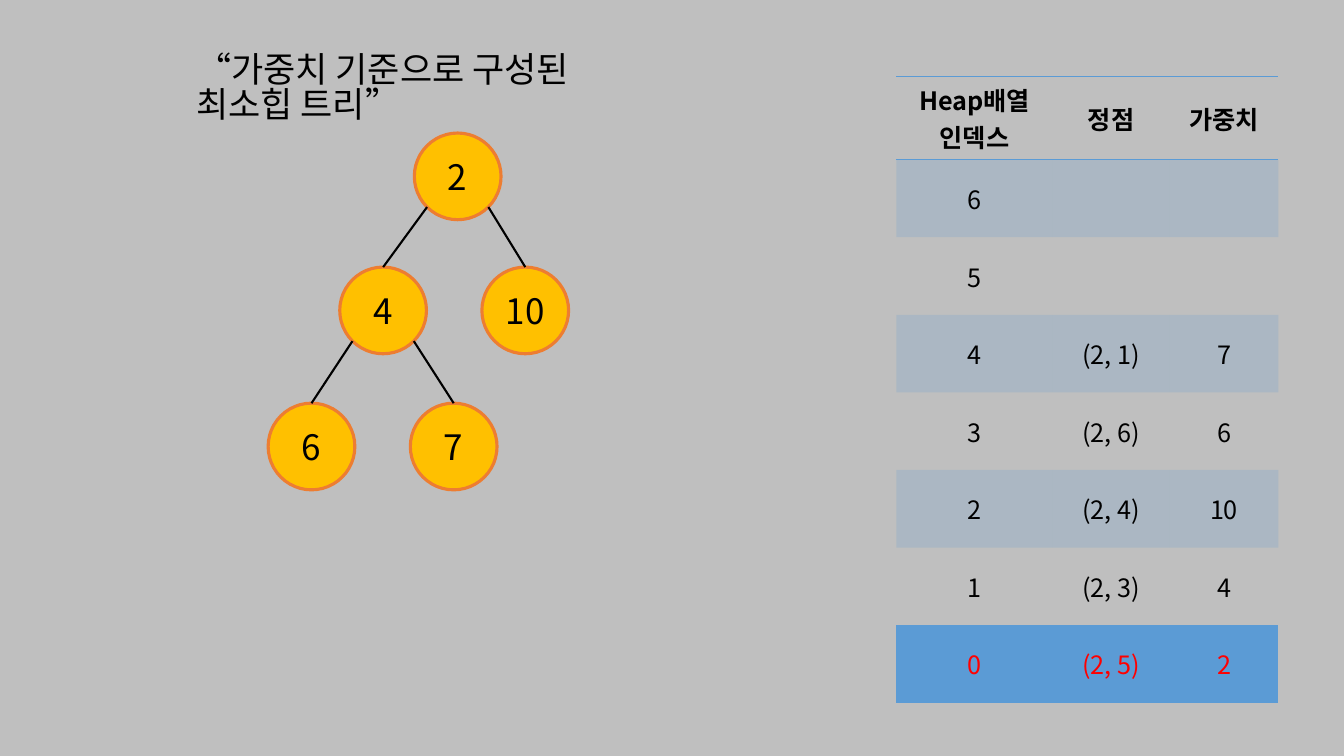
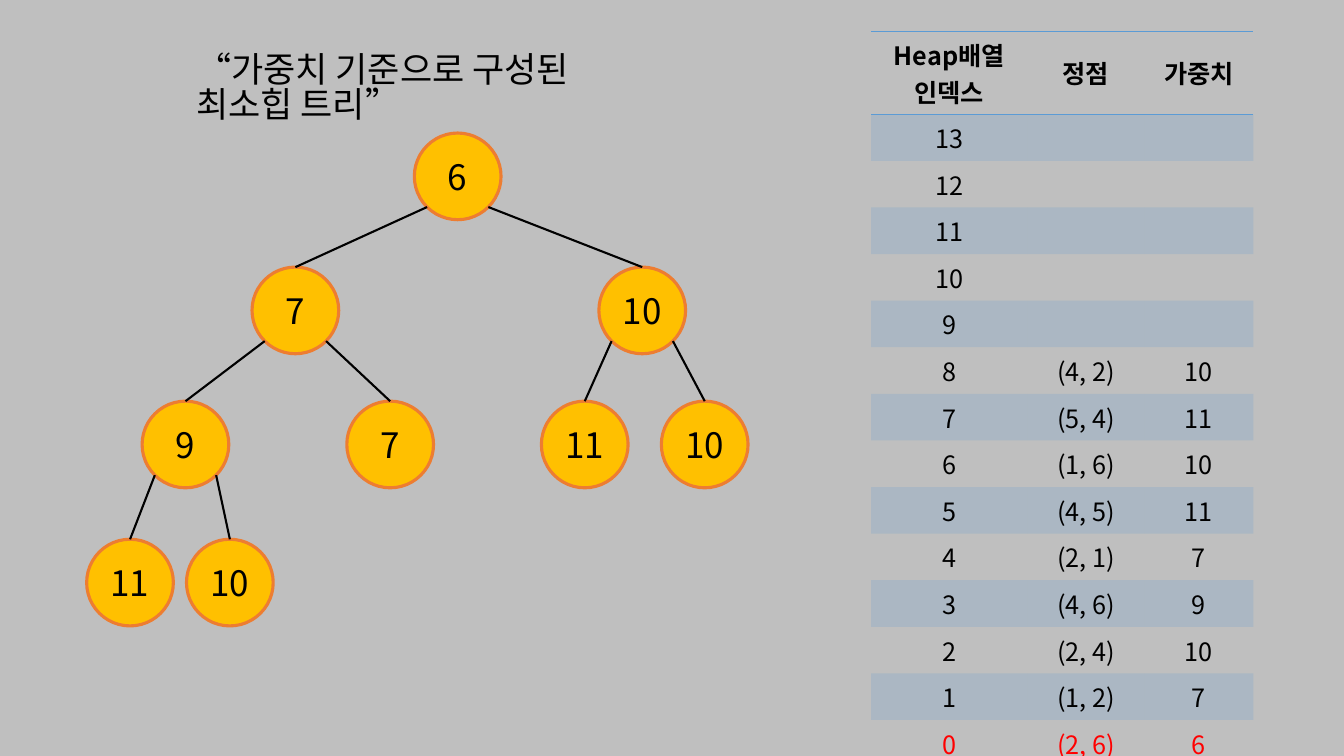
from lxml.etree import SubElement
from pptx import Presentation
from pptx.dml.color import RGBColor
from pptx.enum.shapes import MSO_CONNECTOR, MSO_SHAPE
from pptx.enum.text import MSO_ANCHOR, MSO_AUTO_SIZE, PP_ALIGN
from pptx.oxml.ns import qn
from pptx.util import Inches, Pt

GRAY = RGBColor(0xBF, 0xBF, 0xBF)
BLACK = RGBColor(0, 0, 0)
RED = RGBColor(0xFF, 0, 0)
GOLD = RGBColor(0xFF, 0xC0, 0)
ORANGE = RGBColor(0xED, 0x7D, 0x31)
BLUE = RGBColor(0x5B, 0x9B, 0xD5)

FONT = "Noto Sans CJK KR"
NO_STYLE = "{2D5ABB26-0587-4C30-8999-92F81FD0307C}"
TITLE = "“가중치 기준으로 구성된 최소힙 트리”"
HEADERS = ["Heap배열\n인덱스", "정점", "가중치"]
COLUMN_WIDTHS = [1.55, 1.16, 1.08]
NODE_SIZE = 0.86
DIAGONAL = 0.5 ** 0.5

# Each heap lists (vertex, weight) by array index; node_lefts and level_tops
# are measured from the root node.
HEAPS = [
    dict(
        entries=[("(2, 5)", 2), ("(2, 3)", 4), ("(2, 4)", 10), ("(2, 6)", 6),
                 ("(2, 1)", 7)],
        node_lefts=[0, -0.74, 0.67, -1.45, -0.04],
        level_tops=[0, 1.33, 2.68],
        table=dict(left=8.89, top=0.76, slots=7, header_height=0.72,
                   row_height=0.77),
    ),
    dict(
        entries=[("(2, 6)", 6), ("(1, 2)", 7), ("(2, 4)", 10), ("(4, 6)", 9),
                 ("(2, 1)", 7), ("(4, 5)", 11), ("(1, 6)", 10), ("(5, 4)", 11),
                 ("(4, 2)", 10)],
        node_lefts=[0, -1.61, 1.83, -2.7, -0.67, 1.26, 2.45, -3.25, -2.26],
        level_tops=[0, 1.33, 2.66, 4.03],
        table=dict(left=8.64, top=0.31, slots=14, header_height=0.66,
                   row_height=0.44),
    ),
]


def write(tf, text, align=PP_ALIGN.CENTER, **font):
    """Fill a text frame, one paragraph a line."""
    tf.text = text
    for p in tf.paragraphs:
        p.alignment = align
        for r in p.runs:
            color = font.get("color", BLACK)
            for name, value in dict(font, name=FONT).items():
                if name != "color":
                    setattr(r.font, name, value)
            r.font.color.rgb = color
            SubElement(r.font._element, qn("a:ea"), typeface=FONT)


def add_title(s, left, top, width, height):
    sp = s.shapes.title
    sp.left, sp.top, sp.width, sp.height = map(
        Inches, (left, top, width, height))
    tf = sp.text_frame
    write(tf, TITLE, PP_ALIGN.LEFT, size=Pt(25))
    tf.word_wrap = True
    tf.auto_size = MSO_AUTO_SIZE.NONE
    tf.vertical_anchor = MSO_ANCHOR.TOP
    tf.paragraphs[0].line_spacing = 0.83


def add_node(s, left, top, weight):
    sp = s.shapes.add_shape(MSO_SHAPE.OVAL, Inches(left), Inches(top),
                            Inches(NODE_SIZE), Inches(NODE_SIZE))
    sp.shadow.inherit = False
    sp.fill.solid()
    sp.fill.fore_color.rgb = GOLD
    sp.line.color.rgb = ORANGE
    sp.line.width = Pt(2.25)
    tf = sp.text_frame
    tf.margin_left = tf.margin_right = 0
    tf.vertical_anchor = MSO_ANCHOR.MIDDLE
    write(tf, str(weight), size=Pt(25))
    return sp


def add_edge(s, parent, child, is_left):
    """Join the parent's lower left or right to the child's top."""
    radius = parent.width / 2
    reach = radius * DIAGONAL
    x = parent.left + radius + (-reach if is_left else reach)
    y = parent.top + radius + reach
    line = s.shapes.add_connector(MSO_CONNECTOR.STRAIGHT, int(x), int(y),
                                  child.left + child.width // 2, child.top)
    line.end_connect(child, 0)
    line.line.color.rgb = BLACK
    line.line.width = Pt(1.5)
    SubElement(line._element.spPr, qn("a:effectLst"))


def add_tree(s, left, top, entries, node_lefts, level_tops):
    nodes = []
    for i, ((_, weight), dx) in enumerate(zip(entries, node_lefts)):
        level = (i + 1).bit_length() - 1
        nodes.append(add_node(s, left + dx, top + level_tops[level], weight))
        if i:
            add_edge(s, nodes[(i - 1) // 2], nodes[i], is_left=i % 2 == 1)


def add_border(cell, side):
    ln = SubElement(cell._tc.get_or_add_tcPr(), qn("a:" + side),
                    w=str(Pt(1)))
    fill = SubElement(ln, qn("a:solidFill"))
    SubElement(fill, qn("a:srgbClr"), val=str(BLUE))


def fill_cell(cell, tinted):
    if not tinted:
        cell.fill.background()
        return
    cell.fill.solid()
    cell.fill.fore_color.rgb = BLUE
    color = cell._tc.tcPr.find(".//" + qn("a:srgbClr"))
    SubElement(color, qn("a:alpha"), val="20000")


def add_heap_table(s, entries, left, top, slots, header_height, row_height):
    """List the array slots from the last index down to the root."""
    rows = [HEADERS]
    for i in reversed(range(slots)):
        vertex, weight = entries[i] if i < len(entries) else ("", "")
        rows.append([str(i), vertex, str(weight)])
    frame = s.shapes.add_table(
        len(rows), len(HEADERS), Inches(left), Inches(top),
        Inches(sum(COLUMN_WIDTHS)), Inches(header_height + slots * row_height))
    table = frame.table
    table._tbl.tblPr.find(qn("a:tableStyleId")).text = NO_STYLE
    for column, width in zip(table.columns, COLUMN_WIDTHS):
        column.width = Inches(width)
    for i, texts in enumerate(rows):
        is_header, is_root = i == 0, i == slots
        table.rows[i].height = Inches(header_height if is_header else row_height)
        for cell, text in zip(table.rows[i].cells, texts):
            cell.vertical_anchor = MSO_ANCHOR.MIDDLE
            write(cell.text_frame, text, size=Pt(18), bold=is_header,
                  color=RED if is_root else BLACK)
            if is_header:
                add_border(cell, "lnT")
            if is_header or is_root:
                add_border(cell, "lnB")
            fill_cell(cell, tinted=i % 2 == 1)


def add_heap_slide(prs, entries, node_lefts, level_tops, table):
    s = prs.slides.add_slide(prs.slide_layouts[5])
    add_title(s, 1.85, 0.49, 4.76, 0.52)
    add_heap_table(s, entries, **table)
    add_tree(s, 4.11, 1.32, entries, node_lefts, level_tops)


def main():
    prs = Presentation()
    prs.slide_width, prs.slide_height = Inches(13.33), Inches(7.5)
    fill = prs.slide_master.background.fill
    fill.solid()
    fill.fore_color.rgb = GRAY
    for heap in HEAPS:
        add_heap_slide(prs, **heap)
    prs.save("out.pptx")


if __name__ == "__main__":
    main()
